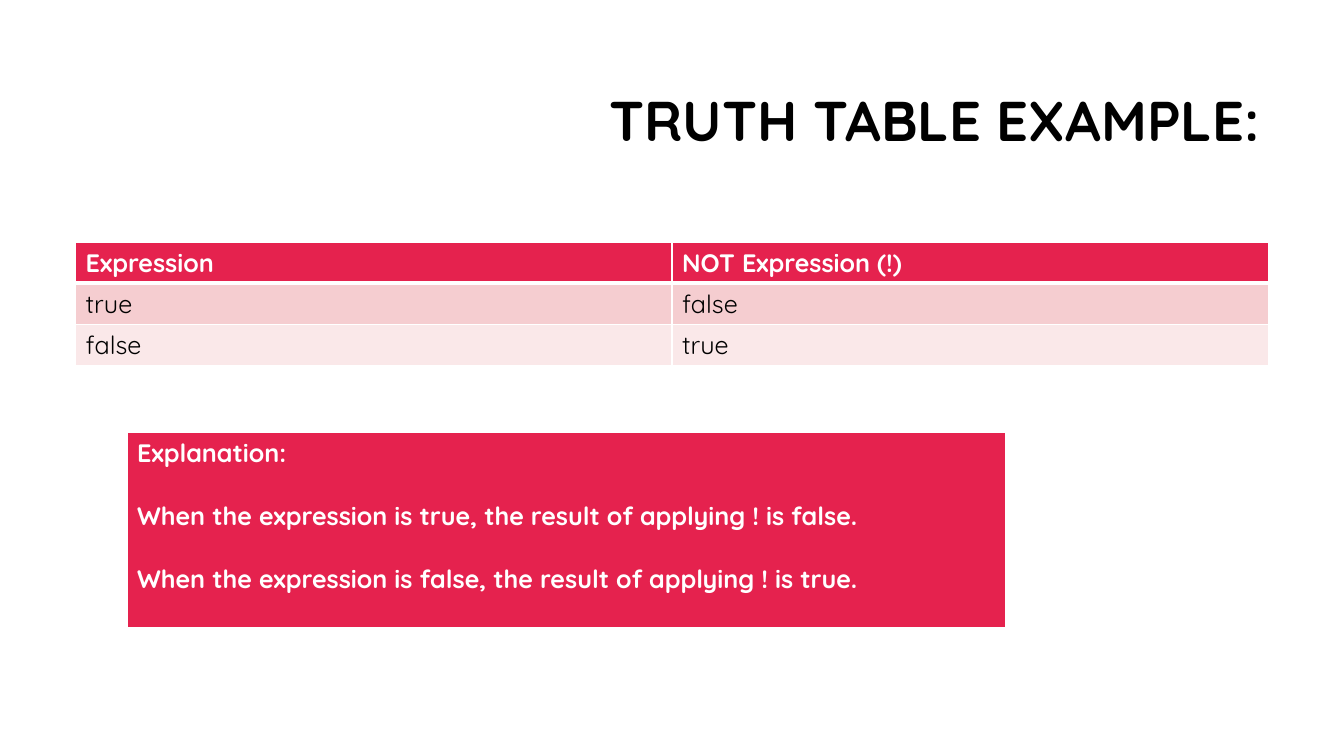
from dataclasses import dataclass

from lxml.etree import SubElement
from pptx import Presentation
from pptx.dml.color import RGBColor
from pptx.enum.text import MSO_ANCHOR, PP_ALIGN
from pptx.oxml.ns import qn
from pptx.slide import Slide
from pptx.table import _Cell
from pptx.text.text import TextFrame
from pptx.util import Inches, Pt

FONT = "Quicksand"
CRIMSON = "E5224E"
WHITE = "FFFFFF"
BLACK = "000000"


@dataclass
class RowStyle:
    fill: str
    color: str
    bold: bool = False
    anchor: MSO_ANCHOR = MSO_ANCHOR.TOP
    top_border: float = 1
    bottom_border: float = 1


@dataclass
class TableSpec:
    left: float
    top: float
    width: float
    row_height: float
    rows: list[list[str]]
    styles: list[RowStyle]
    paragraph_gap: float = 0


TABLES = [
    TableSpec(
        0.75, 2.4, 11.83, 0.41,
        [["Expression", "NOT Expression (!)"], ["true", "false"], ["false", "true"]],
        [
            RowStyle(CRIMSON, WHITE, True, MSO_ANCHOR.MIDDLE, bottom_border=3),
            RowStyle("F5CDD0", BLACK, top_border=3),
            RowStyle("FAE8E9", BLACK),
        ],
    ),
    TableSpec(
        1.26, 4.29, 8.71, 1.95,
        [[
            "Explanation:\n"
            "When the expression is true, the result of applying ! is false.\n"
            "When the expression is false, the result of applying ! is true."
        ]],
        [RowStyle(CRIMSON, WHITE, True, bottom_border=3)],
        paragraph_gap=22.5,
    ),
]


def rgb(color: str) -> RGBColor:
    return RGBColor.from_string(color)


def format_text(text_frame: TextFrame, size: float, color: str, bold: bool) -> None:
    for paragraph in text_frame.paragraphs:
        for run in paragraph.runs:
            run.font.name = FONT
            run.font.size = Pt(size)
            run.font.bold = bold
            run.font.color.rgb = rgb(color)


def set_borders(cell: _Cell, style: RowStyle) -> None:
    properties = cell._tc.get_or_add_tcPr()
    widths = {"L": 1, "R": 1, "T": style.top_border, "B": style.bottom_border}
    for side, width in widths.items():
        line = SubElement(properties, qn(f"a:ln{side}"), w=str(Pt(width)))
        fill = SubElement(line, qn("a:solidFill"))
        SubElement(fill, qn("a:srgbClr"), val=WHITE)


def fill_cell(cell: _Cell, text: str, style: RowStyle, paragraph_gap: float) -> None:
    set_borders(cell, style)
    cell.fill.solid()
    cell.fill.fore_color.rgb = rgb(style.fill)
    cell.vertical_anchor = style.anchor
    cell.text_frame.text = text
    for paragraph in cell.text_frame.paragraphs[1:]:
        paragraph.space_before = Pt(paragraph_gap)
    format_text(cell.text_frame, 18, style.color, style.bold)


def add_table(slide: Slide, spec: TableSpec) -> None:
    table = slide.shapes.add_table(
        len(spec.rows), len(spec.rows[0]),
        Inches(spec.left), Inches(spec.top),
        Inches(spec.width), Inches(spec.row_height * len(spec.rows)),
    ).table
    table.horz_banding = False
    for row_index, (texts, style) in enumerate(zip(spec.rows, spec.styles)):
        for column_index, text in enumerate(texts):
            fill_cell(table.cell(row_index, column_index), text, style, spec.paragraph_gap)


def add_title(slide: Slide, text: str) -> None:
    shape = slide.shapes.add_textbox(Inches(3.17), Inches(0.84), Inches(9.42), Inches(1.41))
    text_frame = shape.text_frame
    text_frame.word_wrap = True
    text_frame.vertical_anchor = MSO_ANCHOR.TOP
    text_frame.margin_top = Inches(0.08)
    text_frame.text = text
    paragraph = text_frame.paragraphs[0]
    paragraph.alignment = PP_ALIGN.RIGHT
    paragraph.line_spacing = 0.9
    format_text(text_frame, 40, BLACK, True)


def main() -> None:
    presentation = Presentation()
    presentation.slide_width = Inches(13.33)
    presentation.slide_height = Inches(7.5)
    slide = presentation.slides.add_slide(presentation.slide_layouts[6])
    add_title(slide, "TRUTH TABLE EXAMPLE:")
    for spec in TABLES:
        add_table(slide, spec)
    presentation.save("out.pptx")


if __name__ == "__main__":
    main()
